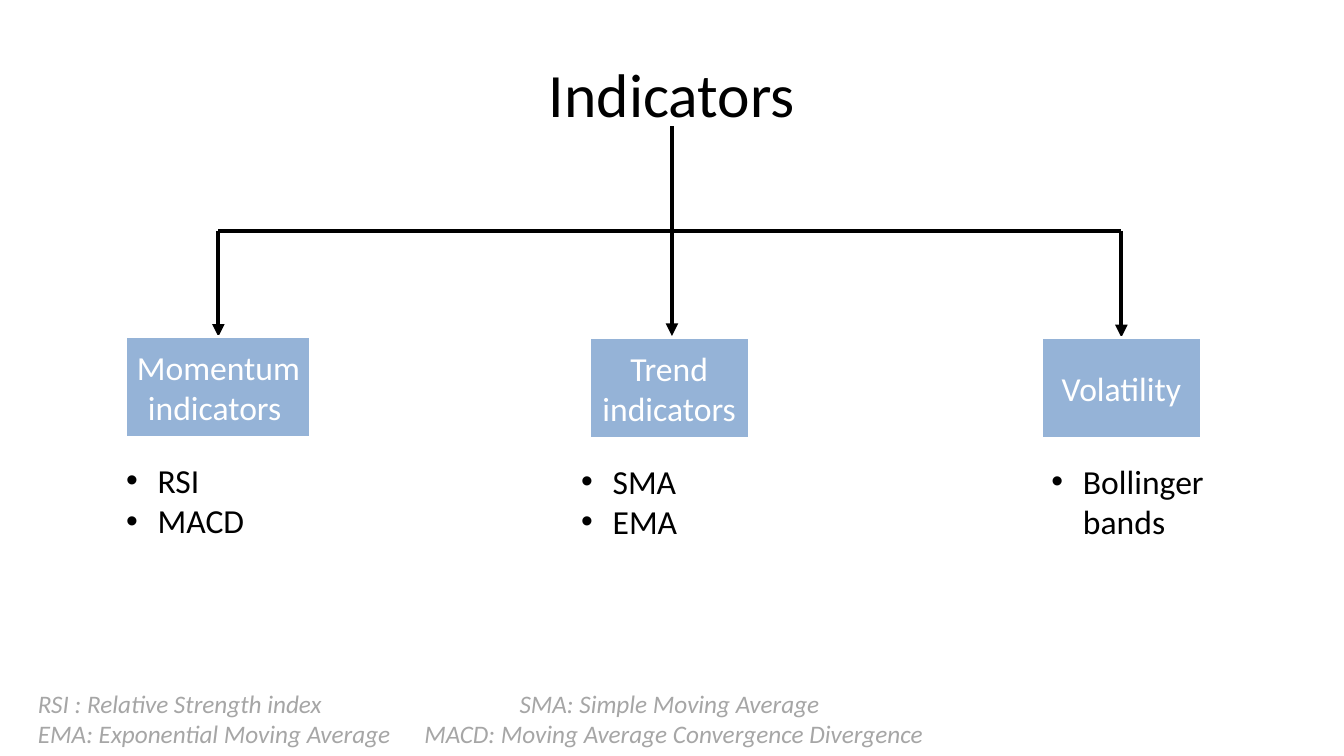
from pptx import Presentation
from pptx.dml.color import RGBColor
from pptx.enum.shapes import MSO_CONNECTOR as CONN, MSO_SHAPE as SHAPE
from pptx.enum.text import MSO_ANCHOR as ANCHOR, PP_ALIGN as ALIGN
from pptx.oxml.ns import qn
from pptx.util import Pt
from lxml.etree import SubElement

BLACK, WHITE, BLUE, GRAY = "000000", "FFFFFF", "95B3D7", "A6A6A6"
TRUNK_X, BUS_Y = 480, 165


def color(value):
    return RGBColor.from_string(value)


def write(tf, lines, size=24, fill=BLACK, align=ALIGN.LEFT,
          anchor=ANCHOR.TOP, italic=False, bullet=False, tabs=()):
    """Fill a text frame, one paragraph per line; tabs holds one stop per line."""
    tf.word_wrap = True
    tf.vertical_anchor = anchor
    for i, line in enumerate(lines):
        p = tf.paragraphs[0] if i == 0 else tf.add_paragraph()
        p.alignment = align
        r = p.add_run()
        r.text = line
        r.font.name = "Calibri"
        r.font.size = Pt(size)
        r.font.italic = italic
        r.font.color.rgb = color(fill)
        pPr = p._p.get_or_add_pPr()
        if bullet:
            pPr.set("marL", str(Pt(22.5)))
            pPr.set("indent", str(Pt(-22.5)))
            SubElement(pPr, qn("a:buFont"), typeface="Arial")
            SubElement(pPr, qn("a:buChar"), char="•")
        if tabs:
            stops = SubElement(pPr, qn("a:tabLst"))
            SubElement(stops, qn("a:tab"), pos=str(Pt(tabs[i])), algn="l")


def text_box(s, box, lines, **fmt):
    tb = s.shapes.add_textbox(*map(Pt, box))
    write(tb.text_frame, lines, **fmt)


def line(s, x1, y1, x2, y2, arrow=False):
    c = s.shapes.add_connector(CONN.STRAIGHT, Pt(x1), Pt(y1), Pt(x2), Pt(y2))
    c.line.width = Pt(3)
    c.line.color.rgb = color(BLACK)
    if arrow:
        SubElement(c.line._get_or_add_ln(), qn("a:tailEnd"), type="triangle")
    SubElement(c._element.spPr, qn("a:effectLst"))
    return c


def header(s, box, title, bus_left, bus_right):
    """Title with the trunk and the horizontal bus below it."""
    text_box(s, box, [title], size=44, align=ALIGN.CENTER, anchor=ANCHOR.MIDDLE)
    line(s, TRUNK_X, 90, TRUNK_X, BUS_Y)
    line(s, bus_left, BUS_Y, bus_right, BUS_Y)


def branch(s, box, label, items, arrow_x, list_dx, list_width):
    """Arrow from the bus, category box and bulleted list below it."""
    x, y, w, h = box
    arrow = line(s, arrow_x, BUS_Y, arrow_x, y - 1, arrow=True)
    sp = s.shapes.add_shape(SHAPE.RECTANGLE, *map(Pt, box))
    sp.shadow.inherit = False
    sp.fill.solid()
    sp.fill.fore_color.rgb = color(BLUE)
    sp.line.color.rgb = color(WHITE)
    sp.line.width = Pt(2)
    write(sp.text_frame, [label], fill=WHITE, align=ALIGN.CENTER,
          anchor=ANCHOR.MIDDLE)
    if arrow_x == x + w / 2:
        arrow.end_connect(sp, 0)
    text_box(s, (x + list_dx, y + h + 12.5, list_width, 65.5), items, bullet=True)


def legend(s, box):
    text_box(s, box, ["RSI : Relative Strength index\tSMA: Simple Moving Average",
                      "EMA: Exponential Moving Average\t"
                      "MACD: Moving Average Convergence Divergence"],
             size=18, fill=GRAY, italic=True, tabs=(344, 276))


def main():
    prs = Presentation()
    prs.slide_width, prs.slide_height = Pt(960), Pt(540)
    s = prs.slides.add_slide(prs.slide_layouts[6])

    header(s, (48, 21.6, 864, 90), "Indicators", 156, 801)
    # Category box, label, list items, arrow x, list offset and width
    branches = [
        ((90, 240.5, 132, 72), "Momentum indicators ", ["RSI", "MACD"], 156, -7, 147),
        ((421, 241, 114, 72), "Trend indicators ", ["SMA", "EMA"], TRUNK_X, -13, 203),
        ((744, 241, 114, 72), "Volatility", ["Bollinger bands"], 801, 0, 147),
    ]
    for spec_row in branches:
        branch(s, *spec_row)
    legend(s, (20, 488, 654, 51))

    prs.save("out.pptx")


if __name__ == "__main__":
    main()
